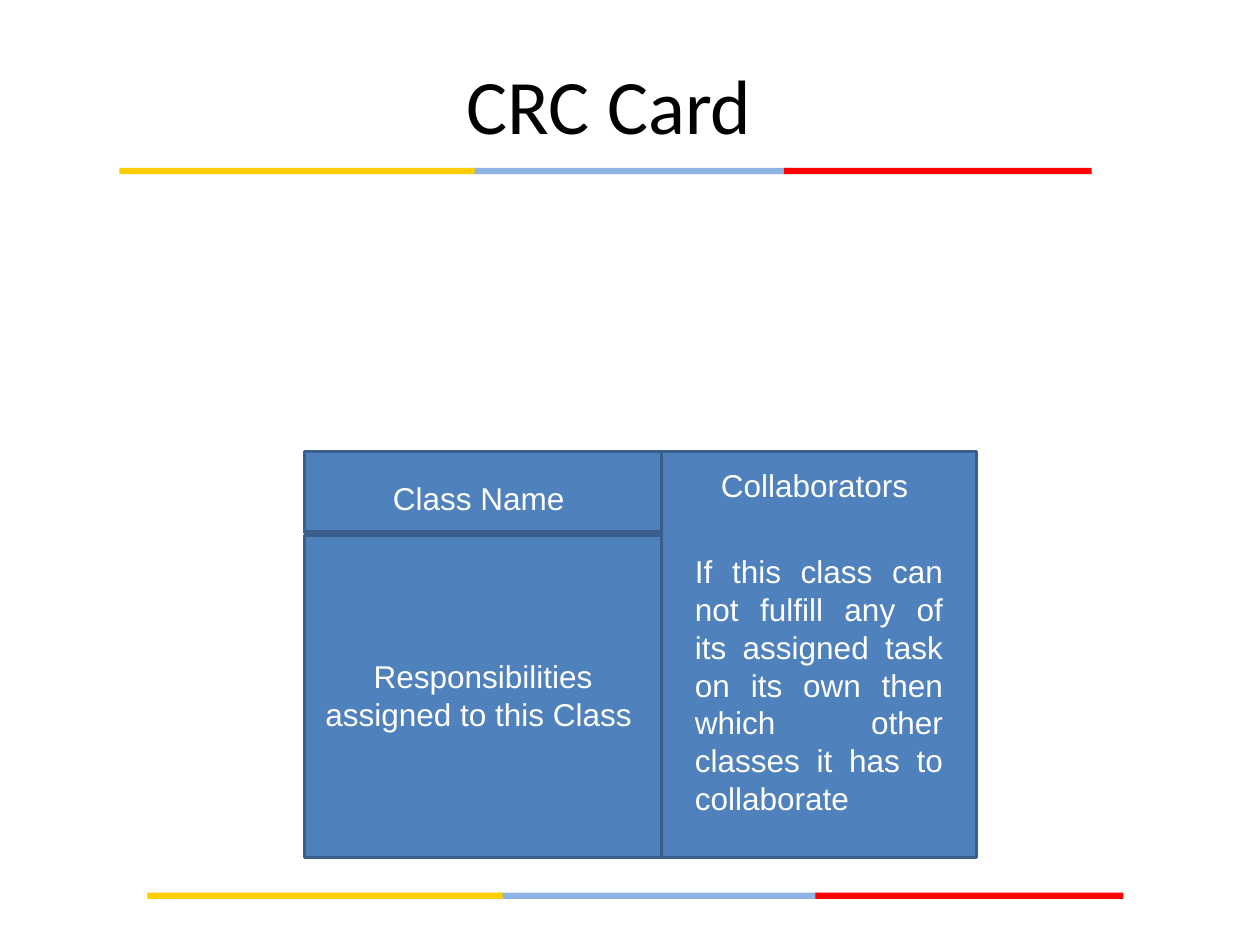
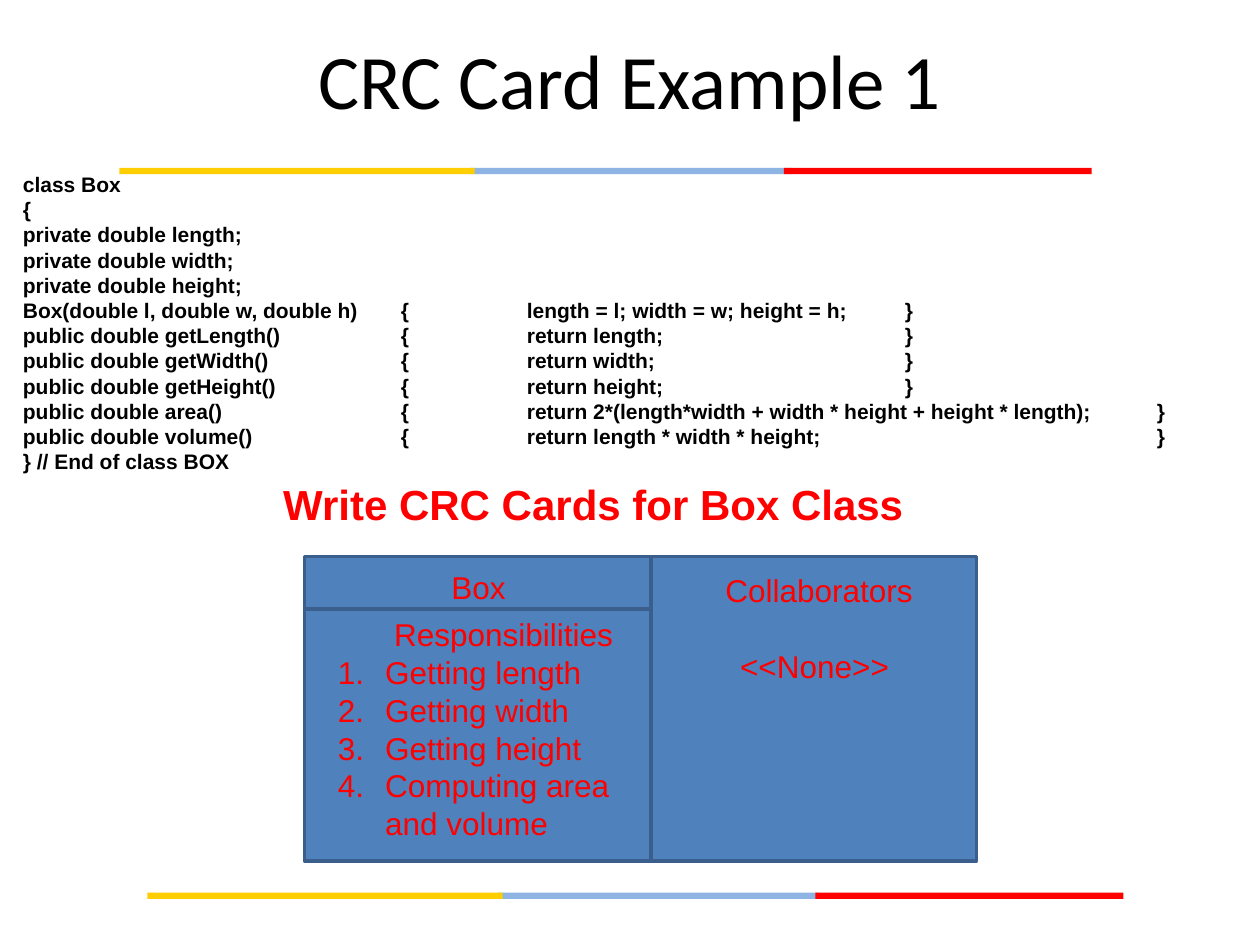
from lxml.etree import SubElement
from pptx import Presentation
from pptx.dml.color import RGBColor
from pptx.enum.shapes import MSO_SHAPE as Preset
from pptx.enum.text import MSO_ANCHOR as Anchor, PP_ALIGN as Align
from pptx.oxml.ns import qn
from pptx.util import Pt

COLORS = {
    "yellow": "FFCE00",
    "blue": "8EB4E3",
    "red": "FF0000",
    "card": "4F81BD",
    "card line": "3A5F8C",
    "white": "FFFFFF",
    "black": "000000",
}
# color, left edge, width
TOP_BAND = [("blue", 268.5, 183.6), ("red", 448, 175.8), ("yellow", 68.2, 203)]
BOTTOM_BAND = [("blue", 284.4, 183.6), ("red", 466, 176), ("yellow", 84.2, 203)]
BAND_HEIGHT = 3.6
LINE_SPACING = 1.2

CARD_LEFT, CARD_RIGHT, CLASS_WIDTH = 174, 558, 204

FIELDS = ["length", "width", "height"]
# signature, body, tab stop of the closing brace in points
METHODS = [
    ("Box(double l, double w, double h)", "length = l; width = w; height = h;", 504),
    ("public double getLength()", "return length;", 504),
    ("public double getWidth()", "return width;", 504),
    ("public double getHeight()", "return height;", 504),
    ("public double area()",
     "return 2*(length*width + width * height + height * length);", 648),
    ("public double volume()", "return length * width * height;", 648),
]
DUTIES = ["Getting length", "Getting width", "Getting height",
          "Computing area and volume"]


def rgb(name):
    return RGBColor.from_string(COLORS[name])


class Deck:
    def __init__(self):
        self.presentation = Presentation()
        self.presentation.slide_width = Pt(720)
        self.presentation.slide_height = Pt(540)
        self.slide = None

    def new_slide(self, title, left, top, height):
        layout = self.presentation.slide_layouts[6]
        self.slide = self.presentation.slides.add_slide(layout)
        self.band(TOP_BAND, 95.9)
        self.band(BOTTOM_BAND, 510)
        frame = self.text_box(left, top, 648, height)
        frame.vertical_anchor = Anchor.MIDDLE
        self.paragraph(frame, title, 44, "black", Align.CENTER, font="Calibri")

    def band(self, stripes, top):
        for color, left, width in stripes:
            self.rectangle(left, top, width, BAND_HEIGHT, color)

    def rectangle(self, left, top, width, height, fill, line=None):
        shape = self.slide.shapes.add_shape(
            Preset.RECTANGLE, Pt(left), Pt(top), Pt(width), Pt(height))
        shape.shadow.inherit = False
        shape.fill.solid()
        shape.fill.fore_color.rgb = rgb(fill)
        if line:
            shape.line.color.rgb = rgb(line)
            shape.line.width = Pt(2)
        else:
            shape.line.fill.background()

    def card(self, top, split, responsibilities_top, bottom, name_bottom):
        """Draw the class, responsibilities and collaborators fields."""
        for left, right, start, end in [
            (CARD_LEFT, CARD_LEFT + CLASS_WIDTH, top, name_bottom),
            (CARD_LEFT, CARD_LEFT + CLASS_WIDTH, responsibilities_top, bottom),
            (split, CARD_RIGHT, top, bottom),
        ]:
            self.rectangle(left, start, right - left, end - start,
                           "card", "card line")

    def text_box(self, left, top, width, height, wrap=True):
        box = self.slide.shapes.add_textbox(Pt(left), Pt(top), Pt(width), Pt(height))
        box.text_frame.word_wrap = wrap
        return box.text_frame

    def paragraph(self, frame, text, size, color, align=Align.LEFT, font="Arial",
                  bold=False, numbered=False, tabs=(), before=0):
        first = frame.paragraphs[0]
        paragraph = frame.add_paragraph() if first.runs else first
        properties = paragraph._p.get_or_add_pPr()
        if numbered:
            properties.set("marL", str(Pt(27)))
            properties.set("indent", str(Pt(-27)))
            SubElement(properties, qn("a:buFont"), typeface="+mj-lt")
            SubElement(properties, qn("a:buAutoNum"), type="arabicPeriod")
        if tabs:
            tab_list = SubElement(properties, qn("a:tabLst"))
            for stop in tabs:
                SubElement(tab_list, qn("a:tab"), pos=str(Pt(stop)), algn="l")
        paragraph.alignment = align
        if font == "Arial":
            paragraph.line_spacing = Pt(size * LINE_SPACING)
        if before:
            paragraph.space_before = Pt(before)
        run = paragraph.add_run()
        run.text = text
        run.font.name = font
        run.font.size = Pt(size)
        run.font.bold = bold
        run.font.color.rgb = rgb(color)

    def label(self, text, left, top, width, height, color, align=Align.CENTER,
              wrap=True):
        frame = self.text_box(left, top, width, height, wrap)
        self.paragraph(frame, text, 18, color, align)
        return frame

    def code(self, left, top, width, height):
        frame = self.text_box(left, top, width, height)
        lines = [("class Box", ()), ("{", ())]
        lines += [(f"private double {field};", ()) for field in FIELDS]
        lines += [(f"{signature}\t{{\t{body}\t}}", (216, 288, closing))
                  for signature, body, closing in METHODS]
        lines.append(("} // End of class BOX", ()))
        for text, tabs in lines:
            self.paragraph(frame, text, 12, "black", bold=True, tabs=tabs)


def add_card_slide(deck):
    deck.new_slide("CRC Card", 24, 22.5, 74)
    deck.card(top=258, split=378, responsibilities_top=306, bottom=490,
              name_bottom=304)
    deck.label("Class Name", 217.5, 270, 114, 29, "white", Align.LEFT, wrap=False)
    deck.label("Responsibilities assigned to this Class ",
               CARD_LEFT, 372, CLASS_WIDTH, 73, "white")
    deck.label("Collaborators ", 378, 263, 180, 51, "white")
    deck.label("If this class can not fulfill any of its assigned task on its own "
               "then which other classes it has to collaborate ",
               390, 312, 156, 160, "white", Align.JUSTIFY)


def add_example_slide(deck):
    deck.new_slide("CRC Card Example 1", 36, 0, 90)
    deck.code(6, 94.5, 702, 181)
    heading = deck.text_box(12, 270, 654, 36)
    deck.paragraph(heading, "Write CRC Cards for Box Class", 24, "red",
                   Align.CENTER, bold=True)
    deck.card(top=318, split=372, responsibilities_top=348, bottom=492,
              name_bottom=349)
    duties = deck.label("Responsibilities", 186, 348, 203.5, 144, "red")
    for duty in DUTIES:
        deck.paragraph(duties, duty, 18, "red", numbered=True)
    collaborators = deck.label("Collaborators", 378, 323, 180, 94, "red")
    deck.paragraph(collaborators, "<<None>> ", 18, "red", Align.CENTER, before=21.6)
    deck.label("Box ", CARD_LEFT, 321, CLASS_WIDTH, 29, "red")


def main():
    deck = Deck()
    add_card_slide(deck)
    add_example_slide(deck)
    deck.presentation.save("out.pptx")


if __name__ == "__main__":
    main()
